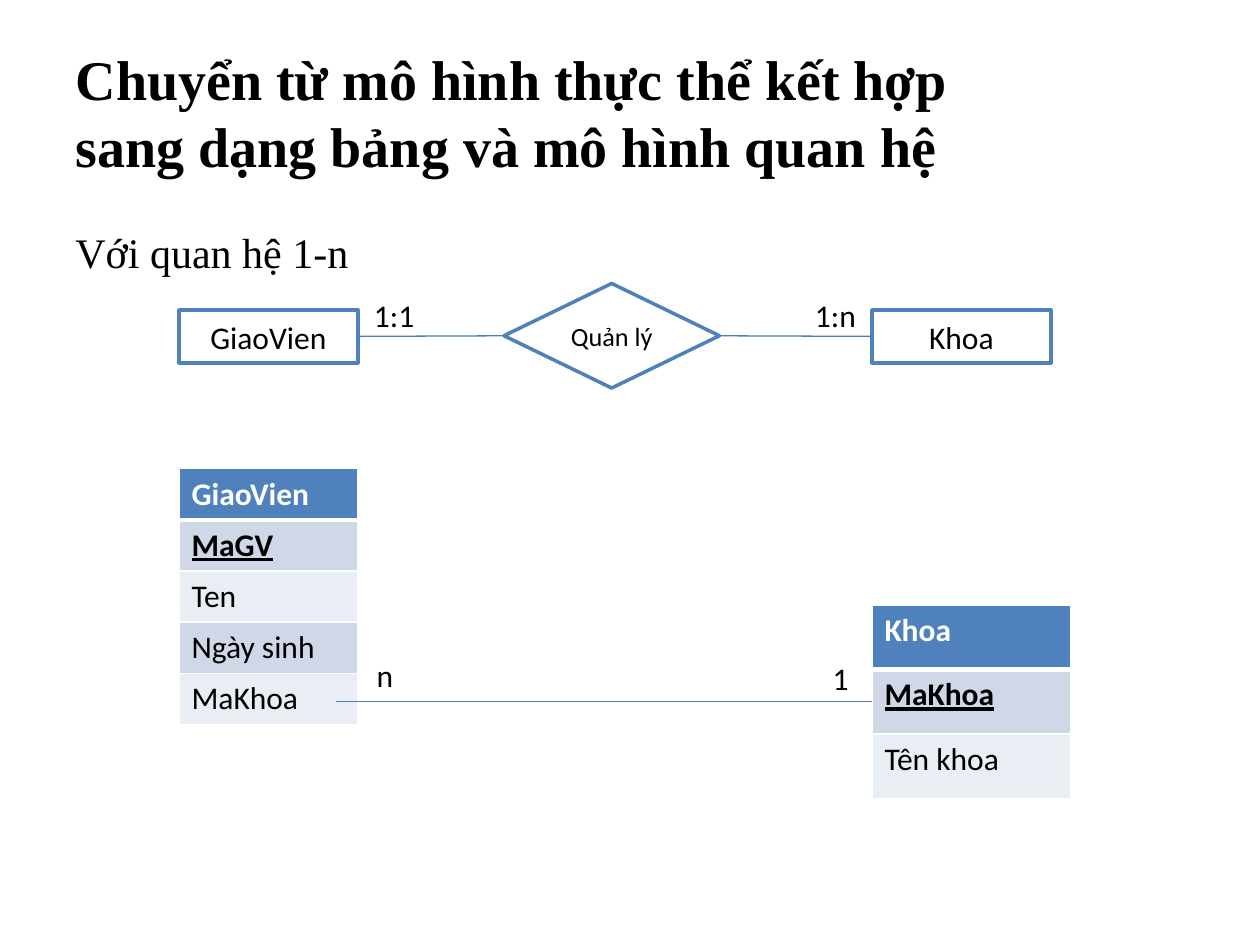
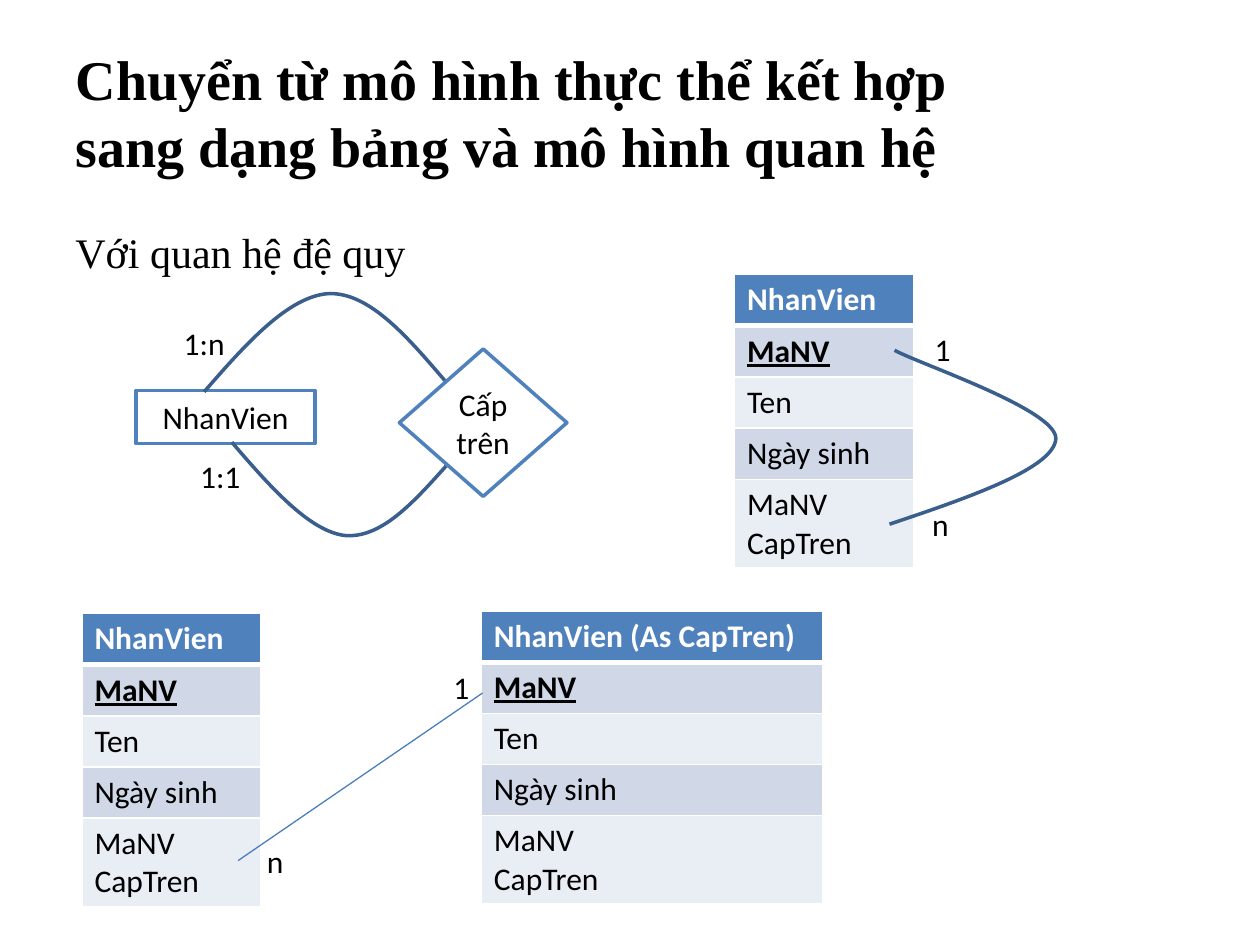
from dataclasses import dataclass
from lxml.etree import SubElement
from pptx import Presentation
from pptx.dml.color import RGBColor
from pptx.enum.shapes import MSO_CONNECTOR, MSO_SHAPE
from pptx.enum.text import MSO_ANCHOR, MSO_AUTO_SIZE, PP_ALIGN
from pptx.oxml.ns import qn
from pptx.util import Inches, Pt

# Content: places are in inches; entities and tables start with left, top
TITLE = "Chuyển từ mô hình thực thể kết hợp\vsang dạng bảng và mô hình quan hệ"
STAFF_FIELDS = ["MaNV", "Ten", "Ngày sinh", "MaNV\nCapTren"]
RECT, DIAMOND = MSO_SHAPE.RECTANGLE, MSO_SHAPE.DIAMOND
LEFT, RIGHT = 1, 3

SLIDES = [
    {
        "subtitle": "Với quan hệ 1-n",
        "tables": [
            ((1.42, 3.72, 1.42, 2.03),
             ["GiaoVien", "MaGV", "Ten", "Ngày sinh", "MaKhoa"]),
            ((6.92, 4.8, 1.58, 1.54), ["Khoa", "MaKhoa", "Tên khoa"]),
        ],
        "entities": [
            ("GiaoVien", RECT, (1.42, 2.46, 1.42, 0.42), "body"),
            ("Khoa", RECT, (6.92, 2.46, 1.42, 0.42), "body"),
            ("Quản lý", DIAMOND, (4, 2.25, 1.71, 0.83), "small"),
        ],
        "joins": [("GiaoVien", RIGHT, "Quản lý", LEFT),
                  ("Quản lý", RIGHT, "Khoa", LEFT)],
        "lines": [((2.67, 5.57), (6.92, 5.57))],
        "curves": [],
        "labels": [("1:1", 2.87, 2.3), ("1:n", 6.37, 2.3),
                   ("n", 2.89, 5.16), ("1", 6.51, 5.18)],
    },
    {
        "subtitle": "Với quan hệ đệ quy",
        "tables": [
            ((5.83, 2.18, 1.42, 2.32), ["NhanVien", *STAFF_FIELDS]),
            ((0.65, 4.87, 1.42, 2.32), ["NhanVien", *STAFF_FIELDS]),
            ((3.82, 4.85, 2.71, 2.32), ["NhanVien (As CapTren)", *STAFF_FIELDS]),
        ],
        "entities": [
            ("NhanVien", RECT, (1.08, 3.1, 1.42, 0.42), "body"),
            ("Cấp trên", DIAMOND, (3.17, 2.77, 1.33, 1.17), "body"),
        ],
        "joins": [],
        "lines": [((3.83, 5.5), (1.89, 6.83))],
        # Each curve: start point, then two control points and an end per segment
        "curves": [
            [(1.84, 3.51), (2.14, 3.86), (2.45, 4.21), (2.73, 4.25),
             (3.02, 4.28), (3.28, 3.99), (3.54, 3.7)],
            [(3.53, 3.02), (3.23, 2.67), (2.93, 2.32), (2.61, 2.33),
             (2.29, 2.35), (1.95, 2.73), (1.62, 3.11)],
            [(7.06, 4.16), (7.72, 3.94), (8.37, 3.71), (8.38, 3.48),
             (8.38, 3.25), (7.3, 2.89), (7.1, 2.78)],
        ],
        "labels": [("1:1", 1.49, 3.58), ("1:n", 1.36, 2.52), ("1", 7.32, 2.57),
                   ("n", 7.3, 3.96), ("1", 3.5, 5.25), ("n", 2.02, 6.63)],
    },
]


# Theme
@dataclass(frozen=True)
class Theme:
    black: str = "000000"
    white: str = "FFFFFF"
    accent: str = "4F81BD"
    connector: str = "4B7EBC"
    curve: str = "3A5F8C"
    bands: tuple = ("D0D8E8", "E9EDF4")
    heading_font: str = "Times New Roman"
    body_font: str = "Calibri"
    title: int = 32
    subtitle: int = 24
    body: int = 18
    small: int = 15


THEME = Theme()
TITLE_BOX = (0.5, 0.26, 9, 1.25)
SUBTITLE_BOX = (0.5, 1.75, 9.5, 5.75)
LABEL_WIDTHS = {"1:1": 0.53, "1:n": 0.53, "n": 0.34, "1": 0.33}
LABEL_HEIGHT = 0.4
EXTRA_LINE = 0.29


# Formatting helpers
def inches(values):
    return [Inches(value) for value in values]


def write(frame, text, color=THEME.black, align=PP_ALIGN.LEFT, **font_format):
    frame.text = text
    font_values = {"name": THEME.body_font, "size": THEME.body, "bold": False,
                   "underline": False, **font_format}
    font_values["size"] = Pt(font_values["size"])
    for paragraph in frame.paragraphs:
        paragraph.alignment = align
        for run in paragraph.runs:
            for name, value in font_values.items():
                setattr(run.font, name, value)
            run.font.color.rgb = RGBColor.from_string(color)


def set_line(shape, color, width):
    shape.line.color.rgb = RGBColor.from_string(color)
    shape.line.width = Pt(width)


def set_fill(target, color):
    target.fill.solid()
    target.fill.fore_color.rgb = RGBColor.from_string(color)


def set_borders(cell, widths):
    properties = cell._tc.get_or_add_tcPr()
    for side, width in widths.items():
        border = SubElement(properties, qn(f"a:ln{side}"), w=str(Pt(width)))
        fill = SubElement(border, qn("a:solidFill"))
        SubElement(fill, qn("a:srgbClr"), val=THEME.white)


# Slide parts
def add_headings(slide, subtitle):
    title = slide.shapes.title
    title.left, title.top, title.width, title.height = inches(TITLE_BOX)
    write(title.text_frame, TITLE, name=THEME.heading_font, size=THEME.title, bold=True)
    title.text_frame.auto_size = MSO_AUTO_SIZE.NONE
    title.text_frame.vertical_anchor = MSO_ANCHOR.MIDDLE
    box = slide.shapes.add_textbox(*inches(SUBTITLE_BOX))
    box.text_frame.word_wrap = True
    write(box.text_frame, subtitle, name=THEME.heading_font, size=THEME.subtitle)


def add_entity_table(slide, place, rows):
    table = slide.shapes.add_table(len(rows), 1, *inches(place)).table
    extra_lines = [EXTRA_LINE * text.count("\n") for text in rows]
    row_height = (place[3] - sum(extra_lines)) / len(rows)
    for index, (text, extra) in enumerate(zip(rows, extra_lines)):
        table.rows[index].height = Inches(row_height + extra)
        cell = table.cell(index, 0)
        header, key = index == 0, index == 1
        set_borders(cell, {"L": 1, "R": 1, "T": 3 if key else 1, "B": 3 if header else 1})
        set_fill(cell, THEME.accent if header else THEME.bands[(index - 1) % 2])
        write(cell.text_frame, text, THEME.white if header else THEME.black,
              bold=header or key, underline=key)


def add_entity(slide, text, kind, place, size):
    shape = slide.shapes.add_shape(kind, *inches(place))
    shape.shadow.inherit = False
    set_fill(shape, THEME.white)
    set_line(shape, THEME.accent, 2)
    shape.text_frame.word_wrap = True
    shape.text_frame.vertical_anchor = MSO_ANCHOR.MIDDLE
    write(shape.text_frame, text, align=PP_ALIGN.CENTER, size=getattr(THEME, size))
    return shape


def add_line(slide, start=(0, 0), end=(0, 0)):
    connector = slide.shapes.add_connector(MSO_CONNECTOR.STRAIGHT, *inches(start + end))
    set_line(connector, THEME.connector, 0.75)
    SubElement(connector._element.spPr, qn("a:effectLst"))
    return connector


def add_curve(slide, points):
    start, *anchors = [tuple(inches(point)) for point in points[::3]]
    builder = slide.shapes.build_freeform(*start)
    builder.add_line_segments(anchors, close=False)
    curve = builder.convert_to_shape()
    curve.shadow.inherit = False
    curve.fill.background()
    set_line(curve, THEME.curve, 2)
    # Bend each straight segment with its two control points
    segments = list(curve._element.iter(qn("a:lnTo")))
    for index, segment in enumerate(segments):
        segment.tag = qn("a:cubicBezTo")
        controls = points[3 * index + 1:3 * index + 3]
        for position, (x, y) in enumerate(controls):
            control = SubElement(segment, qn("a:pt"), x=str(Inches(x) - curve.left),
                                 y=str(Inches(y) - curve.top))
            segment.insert(position, control)


def add_label(slide, text, left, top):
    box = slide.shapes.add_textbox(*inches((left, top, LABEL_WIDTHS[text], LABEL_HEIGHT)))
    box.text_frame.word_wrap = False
    box.text_frame.auto_size = MSO_AUTO_SIZE.SHAPE_TO_FIT_TEXT
    write(box.text_frame, text)


def build_slide(presentation, content):
    slide = presentation.slides.add_slide(presentation.slide_layouts.get_by_name("Title Only"))
    add_headings(slide, content["subtitle"])
    for place, rows in content["tables"]:
        add_entity_table(slide, place, rows)
    entities = {entity[0]: add_entity(slide, *entity) for entity in content["entities"]}
    for source, source_side, target, target_side in content["joins"]:
        connector = add_line(slide)
        connector.begin_connect(entities[source], source_side)
        connector.end_connect(entities[target], target_side)
    for start, end in content["lines"]:
        add_line(slide, start, end)
    for points in content["curves"]:
        add_curve(slide, points)
    for label in content["labels"]:
        add_label(slide, *label)


def main():
    presentation = Presentation()
    presentation.slide_width, presentation.slide_height = Inches(10), Inches(7.5)
    for content in SLIDES:
        build_slide(presentation, content)
    presentation.save("out.pptx")


if __name__ == "__main__":
    main()
